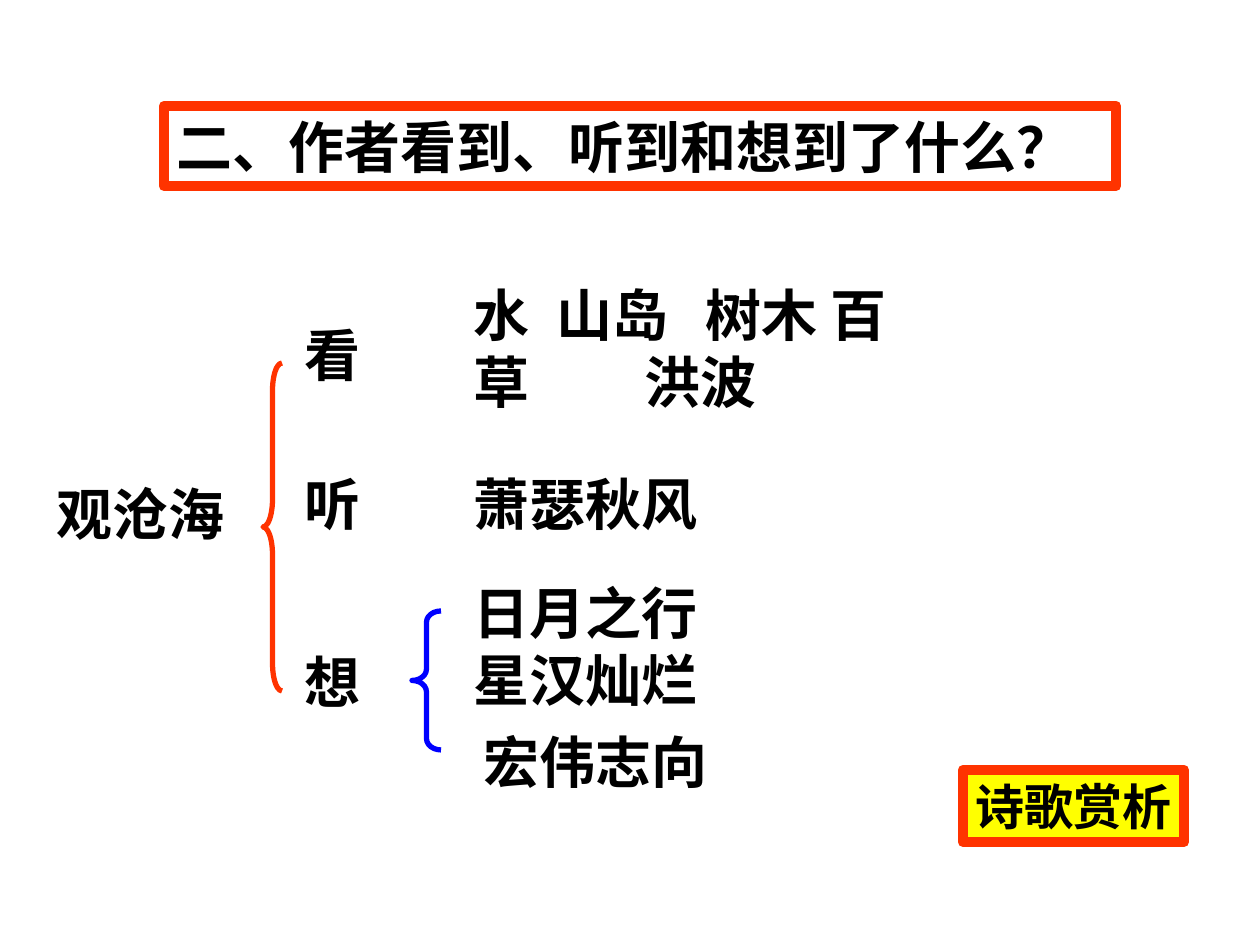
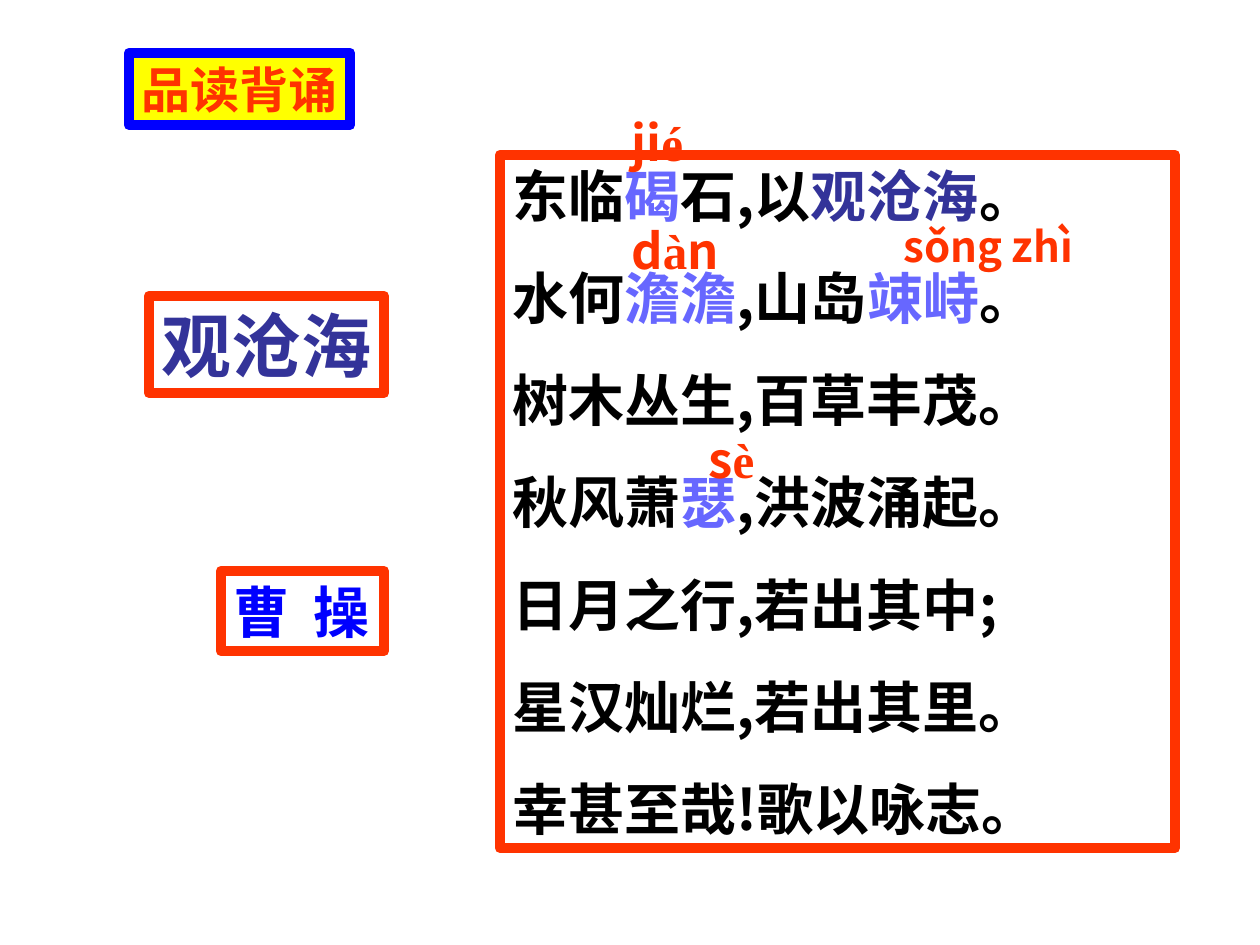
from lxml import etree
from pptx import Presentation
from pptx.dml.color import RGBColor
from pptx.enum.shapes import MSO_SHAPE
from pptx.enum.text import MSO_ANCHOR, PP_ALIGN
from pptx.oxml.ns import qn
from pptx.util import Pt

RECT, BRACE = MSO_SHAPE.RECTANGLE, MSO_SHAPE.LEFT_BRACE
TOP, LEFT = MSO_ANCHOR.TOP, PP_ALIGN.LEFT
BLACK = RGBColor(0x00, 0x00, 0x00)
RED = RGBColor(0xFF, 0x33, 0x00)
BLUE = RGBColor(0x00, 0x00, 0xFF)
NAVY = RGBColor(0x33, 0x33, 0x99)
LILAC = RGBColor(0x67, 0x67, 0xFF)
YELLOW = RGBColor(0xFF, 0xFF, 0x00)
ARIAL, TIMES = "Arial", "Times New Roman"
NOTO, NOTO_JP, NOTO_KR = (f"Noto Sans CJK {end}" for end in ("SC", "JP", "KR"))
PX = 914400 / 126


def px(*sizes):
    return [round(size * PX) for size in sizes]


def box(slide, place, paras, size=32, line=None, fill=None, wrap=True, stops=()):
    """Each paragraph is a list of (text, colour, font) runs."""
    if line is None:
        shape = slide.shapes.add_textbox(*px(*place))
    else:
        shape = slide.shapes.add_shape(RECT, *px(*place))
        shape.shadow.inherit = False
        shape.line.color.rgb = line
        shape.line.width = Pt(6)
        if fill is None:
            shape.fill.background()
        else:
            shape.fill.solid()
            shape.fill.fore_color.rgb = fill
    frame = shape.text_frame
    frame.word_wrap = wrap
    frame.vertical_anchor = TOP
    for i, runs in enumerate(paras):
        para = frame.add_paragraph() if i else frame.paragraphs[0]
        para.alignment = LEFT
        if i:
            para.space_before = Pt(20)
        if stops:
            tabs = etree.SubElement(para._p.get_or_add_pPr(), qn("a:tabLst"))
            for stop in px(*stops):
                etree.SubElement(tabs, qn("a:tab"), pos=str(stop), algn="l")
        for text, color, face in runs:
            run = para.add_run()
            run.text = text
            font = run.font
            font.name, font.size, font.bold = face, Pt(size), True
            font.color.rgb = color
            east = etree.SubElement(run._r.get_or_add_rPr(), qn("a:ea"))
            east.set("typeface", face if face.startswith("Noto") else NOTO)


deck = Presentation()
deck.slide_width, deck.slide_height = px(1260, 945)
blank = deck.slide_layouts[6]

# Slide 1: what the poet saw, heard and imagined
slide = deck.slides.add_slide(blank)
box(slide, (164, 106, 952, 80),
    [[("二、作者看到、听到和想到了什么？", BLACK, NOTO)]], line=RED)

for text, x, y, w, h, stops in [
    ("观沧海", 44, 473, 198, 80, ()),
    ("看", 292, 314, 80, 80, ()),
    ("听", 292, 463, 80, 80, ()),
    ("想", 292, 641, 100, 80, ()),
    ("水\t山岛\t树木 百草\t\t洪波", 461, 274, 446, 148, (83, 171, 232)),
    ("萧瑟秋风", 461, 463, 318, 80, ()),
    ("日月之行 星汉灿烂", 461, 572, 278, 148, ()),
    ("宏伟志向", 471, 721, 278, 80, ()),
]:
    box(slide, (x, y, w, h), [[(text, BLACK, ARIAL)]], stops=stops)

# Braces
for place, color, bend in [
    ((263, 363, 19, 328), RED, 1.45),
    ((412, 611, 29, 139), BLUE, 0.39),
]:
    brace = slide.shapes.add_shape(BRACE, *px(*place))
    brace.shadow.inherit = False
    brace.adjustments[0] = bend
    brace.fill.background()
    brace.line.color.rgb = color
    brace.line.width = Pt(3)

box(slide, (963, 770, 221, 72), [[("诗歌赏析", BLACK, ARIAL)]],
    size=28, line=RED, fill=YELLOW, wrap=False)

# Slide 2: the poem, with hard characters in lilac
slide = deck.slides.add_slide(blank)
poem = [
    [("东临", BLACK), ("碣", LILAC), ("石,以", BLACK), ("观沧海", NAVY), ("。", BLACK)],
    [("水何", BLACK), ("澹澹", LILAC), (",山岛", BLACK), ("竦峙", LILAC), ("。", BLACK)],
    [("树木丛生,百草丰茂。", BLACK)],
    [("秋风萧", BLACK), ("瑟", LILAC), (",洪波涌起。", BLACK)],
    [("日月之行,若出其中;", BLACK)],
    [("星汉灿烂,若出其里。", BLACK)],
    [("幸甚至哉!歌以咏志。", BLACK)],
]
verses = [[(text, color, NOTO) for text, color in verse] for verse in poem]
box(slide, (500, 155, 675, 693), verses, line=RED)

# Pinyin above the hard characters
for place, size, parts in [
    ((619, 106, 131, 72), 28, [("ji", NOTO), ("é", TIMES)]),
    ((619, 214, 213, 72), 28, [("d", NOTO), ("à", TIMES), ("n", NOTO)]),
    ((891, 214, 261, 64), 24, [("sǒng zhì", NOTO_KR)]),
    ((696, 423, 125, 72), 28, [("s", NOTO), ("è", TIMES)]),
]:
    box(slide, place, [[(text, RED, face) for text, face in parts]], size=size)

# Poem title, poet and section label
box(slide, (149, 296, 235, 97), [[("观沧海", NAVY, ARIAL)]],
    size=40, line=RED, wrap=False)
box(slide, (221, 571, 163, 80), [[("曹\t操", BLUE, NOTO_JP)]],
    line=RED, wrap=False, stops=(80,))
box(slide, (129, 53, 221, 72), [[("品读背诵", RED, ARIAL)]],
    size=28, line=BLUE, fill=YELLOW, wrap=False)

deck.save("out.pptx")
